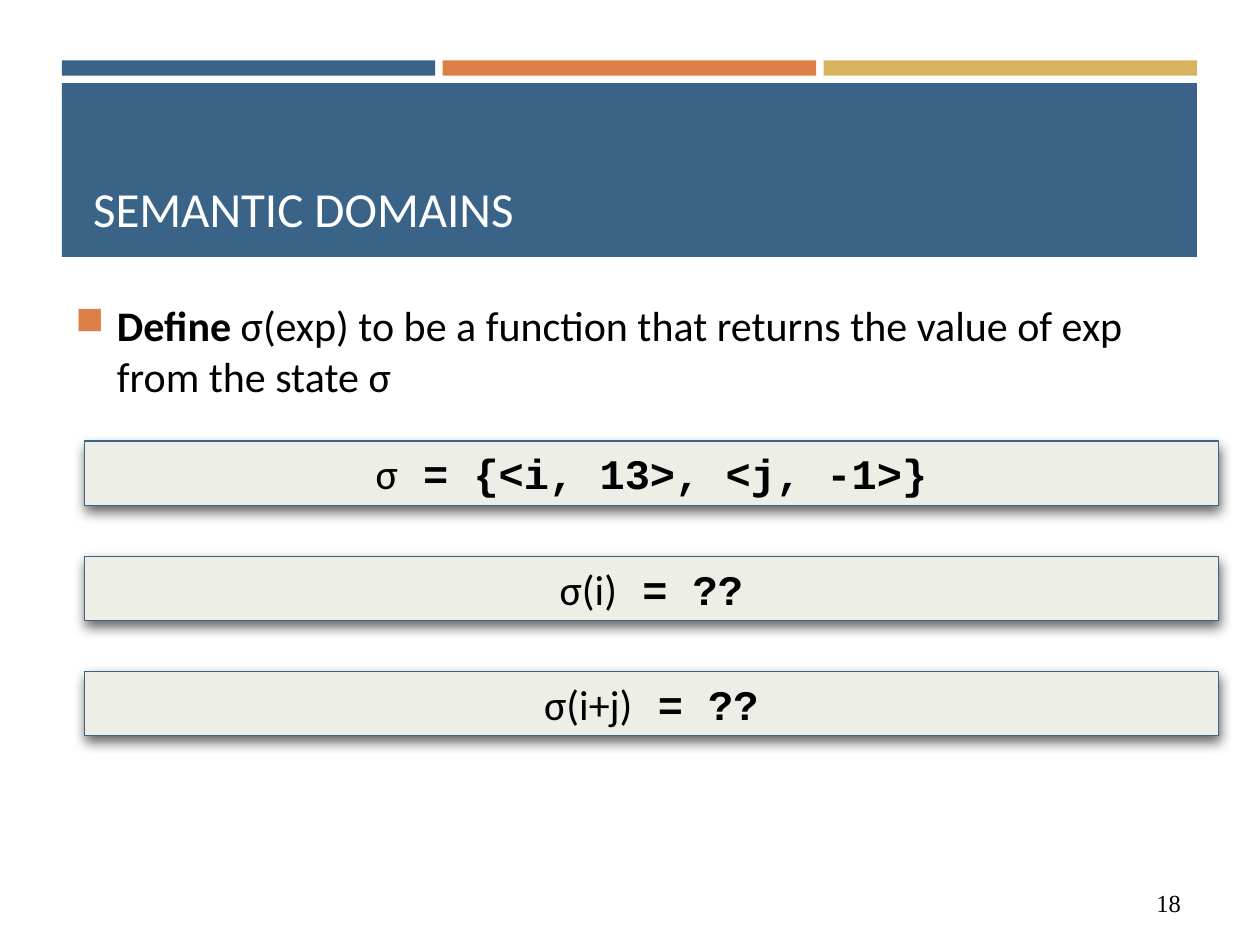
from lxml import etree
from pptx import Presentation
from pptx.dml.color import RGBColor
from pptx.enum.shapes import MSO_SHAPE
from pptx.enum.text import MSO_ANCHOR, PP_ALIGN
from pptx.oxml.ns import qn
from pptx.util import Inches, Pt

RECT = MSO_SHAPE.RECTANGLE
TOP, MIDDLE, BOTTOM = MSO_ANCHOR.TOP, MSO_ANCHOR.MIDDLE, MSO_ANCHOR.BOTTOM
LEFT, CENTER = PP_ALIGN.LEFT, PP_ALIGN.CENTER

BLUE = RGBColor(0x39, 0x64, 0x87)
ORANGE = RGBColor(0xDD, 0x80, 0x47)
GOLD = RGBColor(0xD8, 0xB2, 0x5C)
PALE = RGBColor(0xED, 0xEE, 0xE6)
BLACK = RGBColor(0, 0, 0)
WHITE = RGBColor(0xFF, 0xFF, 0xFF)

SANS, MONO, SERIF = "Calibri", "Courier New", "Times New Roman"


def add_rect(slide, box, fill):
    rect = slide.shapes.add_shape(RECT, *map(Inches, box))
    rect.shadow.inherit = False
    rect.fill.solid()
    rect.fill.fore_color.rgb = fill
    rect.line.fill.background()
    return rect


def write(frame, runs, size, color=BLACK, align=LEFT, anchor=TOP):
    """Fill a frame with one paragraph of (text, font, bold) runs."""
    frame.word_wrap = True
    frame.vertical_anchor = anchor
    para = frame.paragraphs[0]
    para.alignment = align
    for text, name, bold in runs:
        run = para.add_run()
        run.text = text
        font = run.font
        font.name, font.size, font.bold = name, Pt(size), bold
        font.color.rgb = color
    return para


def add_text(slide, box, runs, size, **style):
    label = slide.shapes.add_textbox(*map(Inches, box))
    return write(label.text_frame, runs, size, **style)


def add_bullet(para, indent):
    props = para._p.get_or_add_pPr()
    props.set("marL", str(Inches(indent)))
    props.set("indent", str(-Inches(indent)))
    color = etree.SubElement(props, qn("a:buClr"))
    etree.SubElement(color, qn("a:srgbClr"), val=str(ORANGE))
    etree.SubElement(props, qn("a:buSzPct"), val="92000")
    etree.SubElement(props, qn("a:buChar"), char="■")


def add_shadow(shape):
    effects = shape._element.spPr.find(qn("a:effectLst"))
    shade = etree.SubElement(
        effects, qn("a:outerShdw"), blurRad=str(Pt(7)), dist=str(Pt(3)),
        dir=str(84 * 60000), algn="ctr", rotWithShape="0")
    color = etree.SubElement(shade, qn("a:srgbClr"), val=str(BLACK))
    etree.SubElement(color, qn("a:alpha"), val="60000")


def add_header(slide, box, title):
    left, top, width, height = box
    # Three strips across the top
    gap, thick = 0.06, 0.12
    strip = (width - 2 * gap) / 3
    for col, fill in enumerate((BLUE, ORANGE, GOLD)):
        add_rect(slide, (left + col * (strip + gap), top, strip, thick), fill)
    # Title band
    drop = thick + gap
    band = (left, top + drop, width, height - drop)
    add_rect(slide, band, BLUE)
    add_text(slide, (left + 0.15, band[1] + 0.09, width - 0.27, band[3] - 0.2),
             [(title, SANS, False)], 28, color=WHITE, anchor=BOTTOM)


def add_body(slide, box):
    para = add_text(slide, box, [
        ("Define ", SANS, True),
        ("σ(exp) to be a function that returns the value of exp "
         "from the state σ", SANS, False)], 24)
    add_bullet(para, 0.33)


def add_rules(slide, box, rules):
    """Stack shadowed bars, evenly spaced from top to bottom of the box."""
    left, top, width, height = box
    bar = 0.51
    pitch = (height - bar) / (len(rules) - 1)
    for row, (term, value) in enumerate(rules):
        rect = add_rect(slide, (left, top + row * pitch, width, bar), PALE)
        rect.line.color.rgb = BLUE
        rect.line.width = Pt(0.75)
        add_shadow(rect)
        write(rect.text_frame, [(term, SANS, False), (value, MONO, True)],
              24, align=CENTER, anchor=MIDDLE)


def main():
    deck = Presentation()
    deck.slide_width, deck.slide_height = Inches(10), Inches(7.5)
    slide = deck.slides.add_slide(deck.slide_layouts[6])
    add_header(slide, (0.49, 0.48, 9.01, 1.56), "SEMANTIC DOMAINS")
    add_body(slide, (0.5, 2.33, 9.17, 1.58))
    add_rules(slide, (0.67, 3.5, 9, 2.34), [
        ("σ", " = {<i, 13>, <j, -1>}"),
        ("σ(i)", " = ??"),
        ("σ(i+j)", " = ??")])
    # Page number
    add_text(slide, (9.08, 7, 0.67, 0.33), [("18", SERIF, False)], 14)
    deck.save("out.pptx")


if __name__ == "__main__":
    main()
